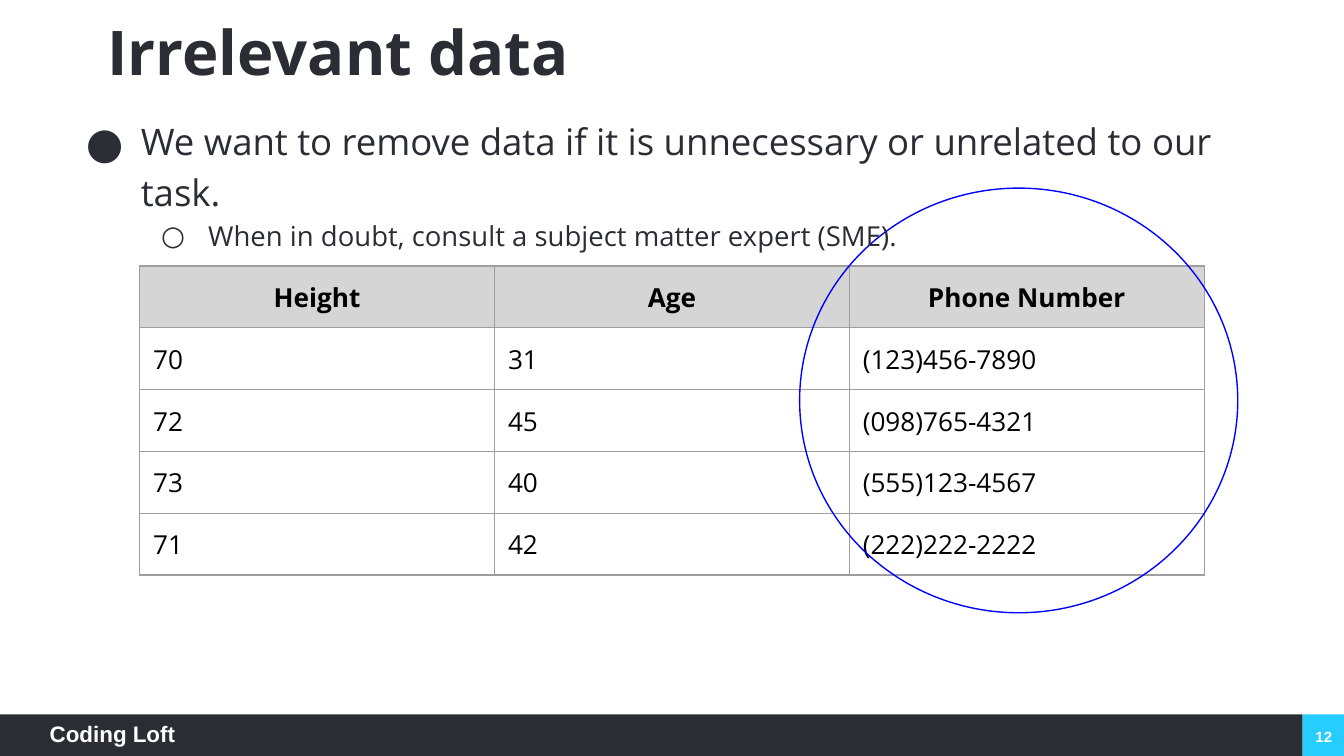
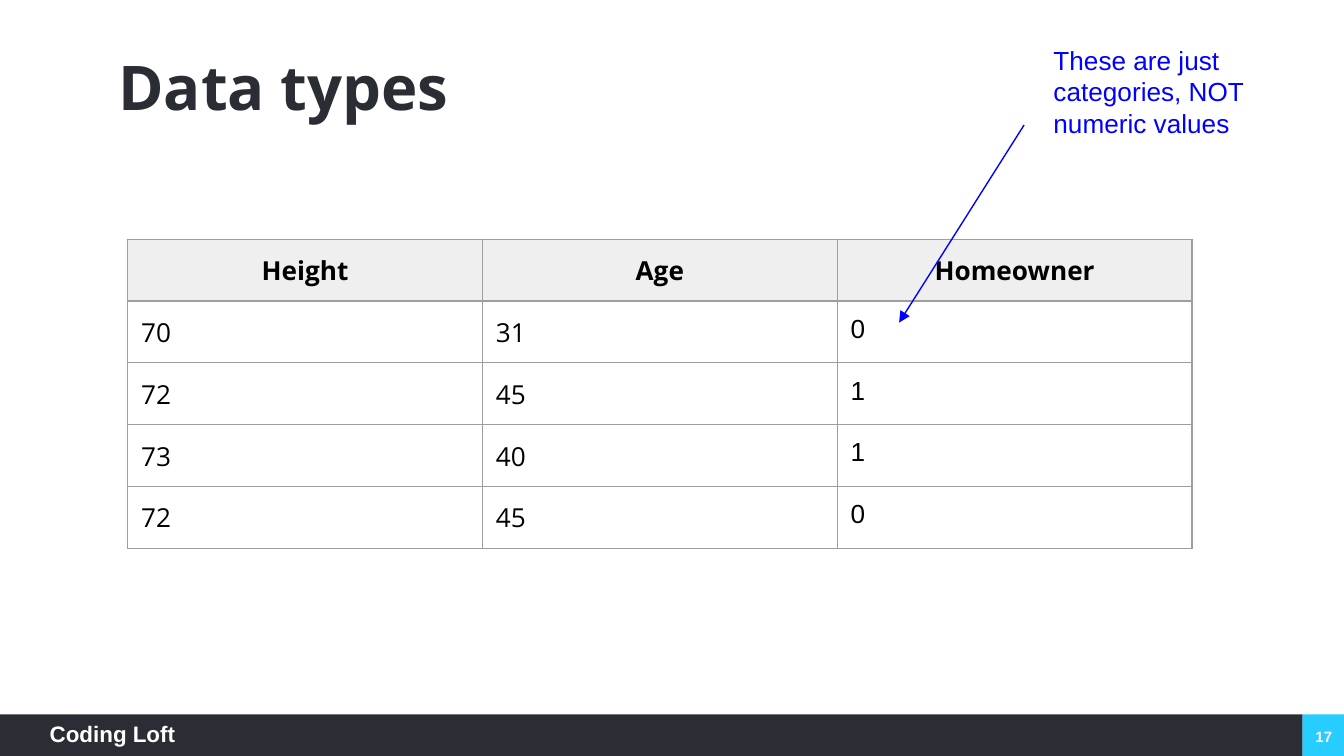
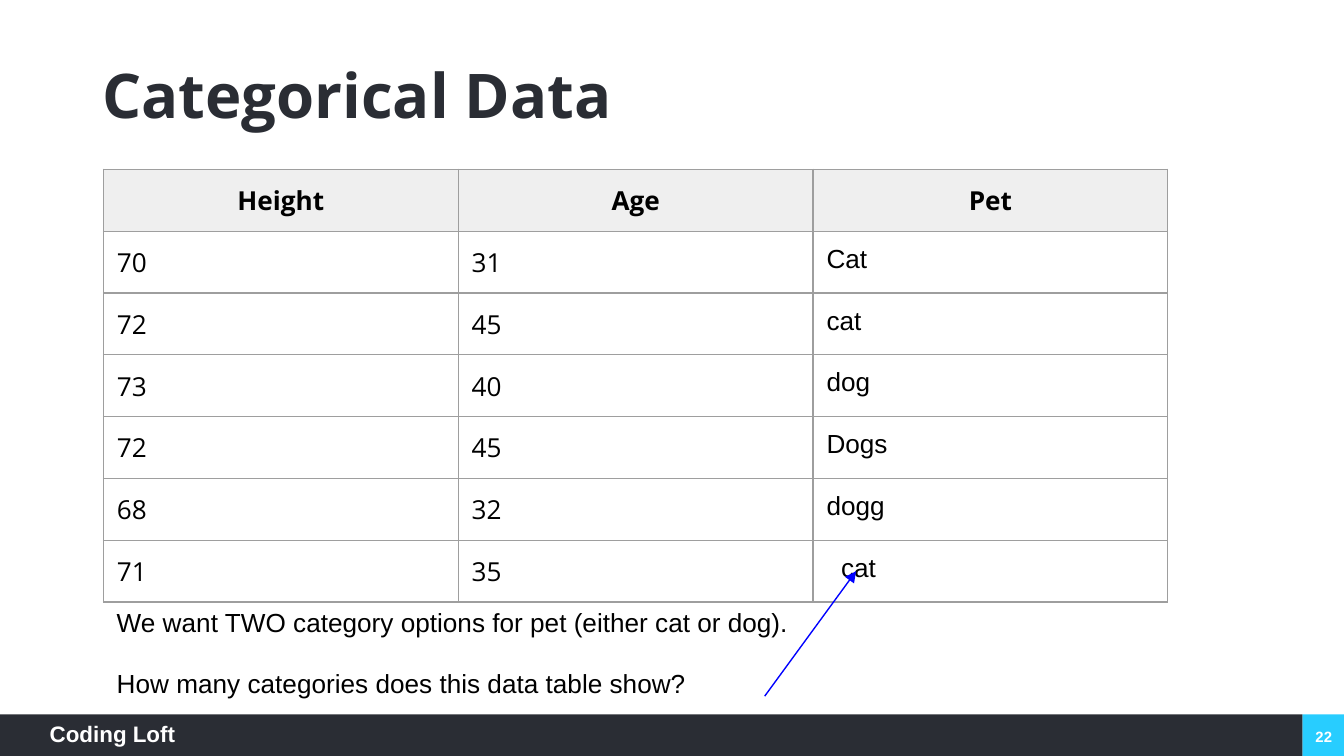
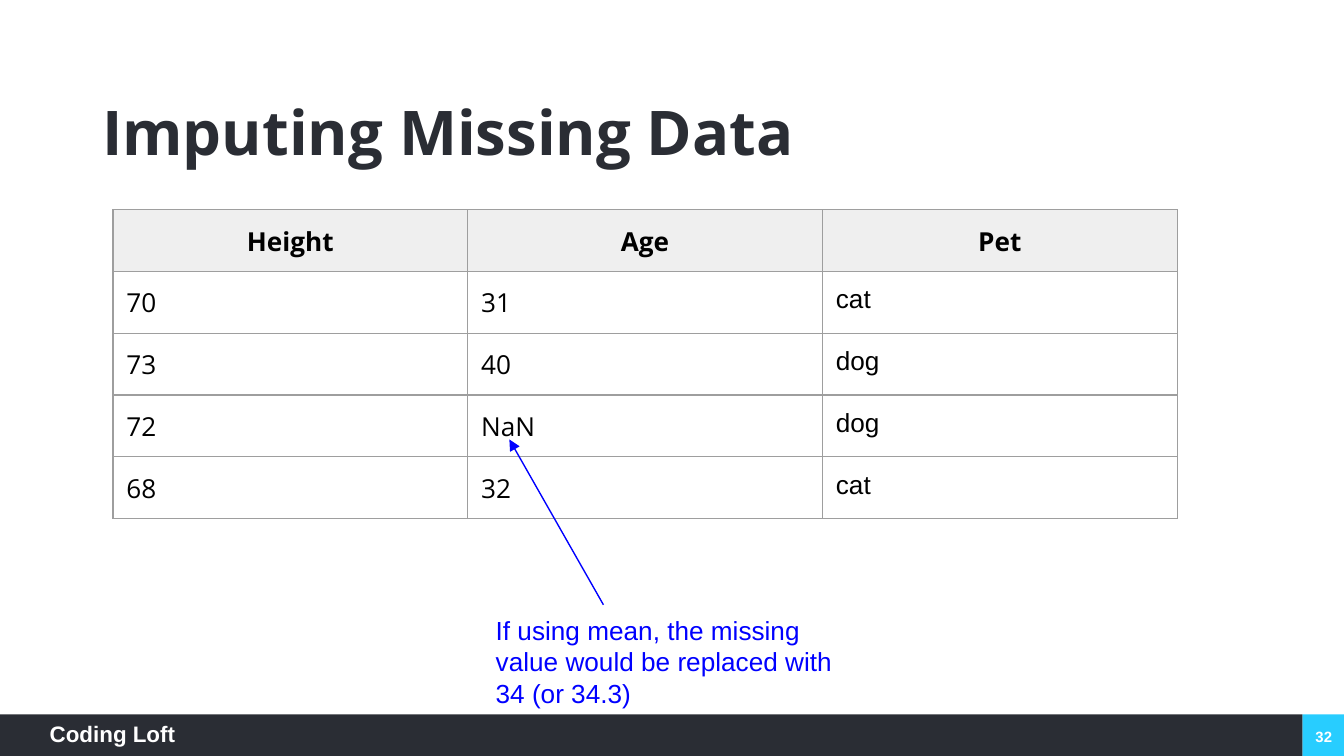
from dataclasses import dataclass

from lxml.etree import SubElement
from pptx import Presentation
from pptx.dml.color import RGBColor
from pptx.enum.shapes import MSO_CONNECTOR, MSO_SHAPE
from pptx.enum.text import MSO_ANCHOR, PP_ALIGN
from pptx.oxml.ns import qn
from pptx.slide import Slide
from pptx.table import _Cell as Cell
from pptx.text.text import TextFrame, _Paragraph as Paragraph
from pptx.util import Emu, Inches, Pt


@dataclass(frozen=True)
class Theme:
    ink: str = "2A2D34"
    accent: str = "28CDFF"
    blue: str = "0000FF"
    black: str = "000000"
    white: str = "FFFFFF"
    grid: str = "9E9E9E"
    header: str = "EFEFEF"
    header_dark: str = "D5D5D5"
    heading_font: str = "Open Sans"
    note_font: str = "Arial"
    title_size: float = 33
    bullet_size: float = 19.6
    sub_bullet_size: float = 14.7
    body_size: float = 14
    footer_size: float = 12
    number_size: float = 8
    line_width: float = 0.75


THEME = Theme()


@dataclass(frozen=True)
class Area:
    left: float
    top: float
    width: float
    height: float

    def lengths(self) -> tuple[Emu, ...]:
        return tuple(Inches(v) for v in (self.left, self.top, self.width, self.height))


@dataclass(frozen=True)
class Style:
    size: float
    font: str = THEME.note_font
    color: str = THEME.black
    bold: bool = False


@dataclass(frozen=True)
class Bullet:
    text: str
    mark: str
    size: float
    margin: float
    hanging: float
    mark_percent: int = 100


@dataclass(frozen=True)
class DataTable:
    left: float
    top: float
    rows: list[tuple[str, str, str]]
    header_fill: str = THEME.header
    last_font: str = THEME.note_font


@dataclass(frozen=True)
class Arrow:
    start: tuple[float, float]
    end: tuple[float, float]


TITLE = Style(THEME.title_size, THEME.heading_font, THEME.ink, True)
FOOTER = Style(THEME.footer_size, color=THEME.white, bold=True)
NUMBER = Style(THEME.number_size, color=THEME.white, bold=True)
NOTE = Style(THEME.body_size)
BLUE_NOTE = Style(THEME.body_size, color=THEME.blue)

SLIDE_WIDTH = 10
SLIDE_HEIGHT = SLIDE_WIDTH * 9 / 16
BAND_HEIGHT = 0.31
BAND_TOP = SLIDE_HEIGHT - BAND_HEIGHT
BAND_WIDTH = SLIDE_WIDTH - BAND_HEIGHT
COLUMN_WIDTH, ROW_HEIGHT = 2.64, 0.46
CELL_INSET = 0.1
PARAGRAPH_GAP = Pt(16)
BULLET_SPACING = 1.15


def rgb(color: str) -> RGBColor:
    return RGBColor.from_string(color)


def format_para(para: Paragraph, style: Style) -> None:
    for span in para.runs:
        span.font.size = Pt(style.size)
        span.font.name = style.font
        span.font.bold = style.bold
        span.font.color.rgb = rgb(style.color)


def add_text(slide: Slide, area: Area, text: str, style: Style,
             inset: tuple[float, float] = (0.1, 0.1),
             anchor: MSO_ANCHOR = MSO_ANCHOR.TOP) -> TextFrame:
    frame = slide.shapes.add_textbox(*area.lengths()).text_frame
    frame.word_wrap = True
    frame.vertical_anchor = anchor
    frame.margin_left = frame.margin_right = Inches(inset[0])
    frame.margin_top = frame.margin_bottom = Inches(inset[1])
    frame.text = text
    for para in frame.paragraphs:
        format_para(para, style)
    return frame


def add_band(slide: Slide, area: Area, color: str) -> None:
    band = slide.shapes.add_shape(MSO_SHAPE.RECTANGLE, *area.lengths())
    band.shadow.inherit = False
    band.fill.solid()
    band.fill.fore_color.rgb = rgb(color)
    band.line.fill.background()


def add_base(deck: Presentation, number: int, title: str, left: float, top: float) -> Slide:
    """Add a blank slide with the footer bands, page number and title."""
    slide = deck.slides.add_slide(deck.slide_layouts[6])
    add_band(slide, Area(BAND_WIDTH, BAND_TOP, BAND_HEIGHT, BAND_HEIGHT), THEME.accent)
    add_band(slide, Area(0, BAND_TOP, BAND_WIDTH, BAND_HEIGHT), THEME.ink)
    add_text(slide, Area(0.37, 5.36, 1.57, 0.23), "Coding Loft", FOOTER, (0, 0))
    page = add_text(slide, Area(9.7, 5.33, 0.3, 0.3), str(number), NUMBER,
                    (0.07, 0.04), MSO_ANCHOR.MIDDLE)
    page.paragraphs[0].alignment = PP_ALIGN.CENTER
    heading = add_text(slide, Area(left, top, 8.61, 0.82), title, TITLE,
                       (0.07, 0.04), MSO_ANCHOR.MIDDLE)
    heading.paragraphs[0].line_spacing = 0.9
    return slide


def set_borders(cell: Cell) -> None:
    properties = cell._tc.get_or_add_tcPr()
    for index, side in enumerate(("lnL", "lnR", "lnT", "lnB")):
        border = properties.makeelement(qn(f"a:{side}"), {"w": str(Pt(THEME.line_width))})
        fill = SubElement(border, qn("a:solidFill"))
        SubElement(fill, qn("a:srgbClr"), val=THEME.grid)
        properties.insert(index, border)


def add_data_table(slide: Slide, data: DataTable) -> None:
    row_count, column_count = len(data.rows), len(data.rows[0])
    area = Area(data.left, data.top, COLUMN_WIDTH * column_count, ROW_HEIGHT * row_count)
    table = slide.shapes.add_table(row_count, column_count, *area.lengths()).table
    table.first_row = table.horz_banding = False
    for row_index, row in enumerate(data.rows):
        is_header = row_index == 0
        for column_index, text in enumerate(row):
            cell = table.cell(row_index, column_index)
            cell.text = text
            cell.margin_left = cell.margin_right = Inches(CELL_INSET)
            cell.margin_top = cell.margin_bottom = Inches(CELL_INSET)
            is_last = column_index == column_count - 1
            font = data.last_font if is_last and not is_header else THEME.heading_font
            para = cell.text_frame.paragraphs[0]
            format_para(para, Style(THEME.body_size, font, bold=is_header))
            if is_header:
                para.alignment = PP_ALIGN.CENTER
                cell.fill.solid()
                cell.fill.fore_color.rgb = rgb(data.header_fill)
            else:
                cell.fill.background()
            set_borders(cell)


def add_arrow(slide: Slide, arrow: Arrow) -> None:
    points = (Inches(v) for v in (*arrow.start, *arrow.end))
    connector = slide.shapes.add_connector(MSO_CONNECTOR.STRAIGHT, *points)
    connector.line.color.rgb = rgb(THEME.blue)
    connector.line.width = Pt(THEME.line_width)
    SubElement(connector.line._get_or_add_ln(), qn("a:tailEnd"), type="triangle")
    SubElement(connector._element.spPr, qn("a:effectLst"))


def add_ring(slide: Slide, area: Area) -> None:
    ring = slide.shapes.add_shape(MSO_SHAPE.OVAL, *area.lengths())
    ring.shadow.inherit = False
    ring.fill.background()
    ring.line.color.rgb = rgb(THEME.blue)
    ring.line.width = Pt(THEME.line_width)


def add_bullets(slide: Slide, area: Area, bullets: list[Bullet]) -> None:
    """Write one bullet per paragraph, each a level deeper than the one before."""
    frame = add_text(slide, area, "\n".join(b.text for b in bullets), NOTE)
    for level, (para, bullet) in enumerate(zip(frame.paragraphs, bullets)):
        format_para(para, Style(bullet.size, THEME.heading_font, THEME.ink))
        para.level = level
        para.line_spacing = BULLET_SPACING
        properties = para._p.get_or_add_pPr()
        properties.set("marL", str(Inches(bullet.margin)))
        properties.set("indent", str(Inches(-bullet.hanging)))
        color = SubElement(properties, qn("a:buClr"))
        SubElement(color, qn("a:srgbClr"), val=THEME.ink)
        SubElement(properties, qn("a:buSzPct"), val=str(bullet.mark_percent * 1000))
        SubElement(properties, qn("a:buFont"), typeface=THEME.heading_font)
        SubElement(properties, qn("a:buChar"), char=bullet.mark)


def build_irrelevant_data(deck: Presentation) -> None:
    slide = add_base(deck, 12, "Irrelevant data", 0.73, 0)
    add_data_table(slide, DataTable(1.04, 1.98, [
        ("Height", "Age", "Phone Number"),
        ("70", "31", "(123)456-7890"),
        ("72", "45", "(098)765-4321"),
        ("73", "40", "(555)123-4567"),
        ("71", "42", "(222)222-2222"),
    ], THEME.header_dark, THEME.heading_font))
    add_ring(slide, Area(5.95, 1.4, 3.26, 3.16))
    add_bullets(slide, Area(0.45, 0.74, 9.09, 1.1), [
        Bullet("We want to remove data if it is unnecessary or unrelated to our task.",
               "●", THEME.bullet_size, 0.5, 0.41, 118),
        Bullet("When in doubt, consult a subject matter expert (SME).",
               "○", THEME.sub_bullet_size, 1, 0.35),
    ])


def build_data_types(deck: Presentation) -> None:
    slide = add_base(deck, 17, "Data types", 0.81, 0.26)
    add_data_table(slide, DataTable(0.95, 1.78, [
        ("Height", "Age", "Homeowner"),
        ("70", "31", "0"),
        ("72", "45", "1"),
        ("73", "40", "1"),
        ("72", "45", "0"),
    ]))
    add_arrow(slide, Arrow((7.62, 0.93), (6.69, 2.4)))
    add_text(slide, Area(7.74, 0.23, 1.96, 0.91),
             "These are just categories, NOT numeric values", BLUE_NOTE)


def build_categorical_data(deck: Presentation) -> None:
    slide = add_base(deck, 22, "Categorical Data", 0.69, 0.32)
    add_data_table(slide, DataTable(0.77, 1.26, [
        ("Height", "Age", "Pet"),
        ("70", "31", "Cat"),
        ("72", "45", "cat"),
        ("73", "40", "dog"),
        ("72", "45", "Dogs"),
        ("68", "32", "dogg"),
        ("71", "35", "  cat"),
    ]))
    question = add_text(slide, Area(0.77, 4.41, 7.83, 0.91),
                        "We want TWO category options for pet (either cat or dog).\n"
                        "How many categories does this data table show?", NOTE)
    question.paragraphs[1].space_before = PARAGRAPH_GAP
    add_arrow(slide, Arrow((5.69, 5.18), (6.37, 4.25)))


def build_imputing(deck: Presentation) -> None:
    slide = add_base(deck, 32, "Imputing Missing Data", 0.69, 0.6)
    add_data_table(slide, DataTable(0.84, 1.56, [
        ("Height", "Age", "Pet"),
        ("70", "31", "cat"),
        ("73", "40", "dog"),
        ("72", "NaN", "dog"),
        ("68", "32", "cat"),
    ]))
    add_arrow(slide, Arrow((4.49, 4.5), (3.79, 3.27)))
    add_text(slide, Area(3.59, 4.47, 2.93, 0.91),
             "If using mean, the missing value would be replaced with 34 (or 34.3)", BLUE_NOTE)


def main() -> None:
    deck = Presentation()
    deck.slide_width = Inches(SLIDE_WIDTH)
    deck.slide_height = Inches(SLIDE_HEIGHT)
    for build in (build_irrelevant_data, build_data_types,
                  build_categorical_data, build_imputing):
        build(deck)
    deck.save("out.pptx")


if __name__ == "__main__":
    main()
